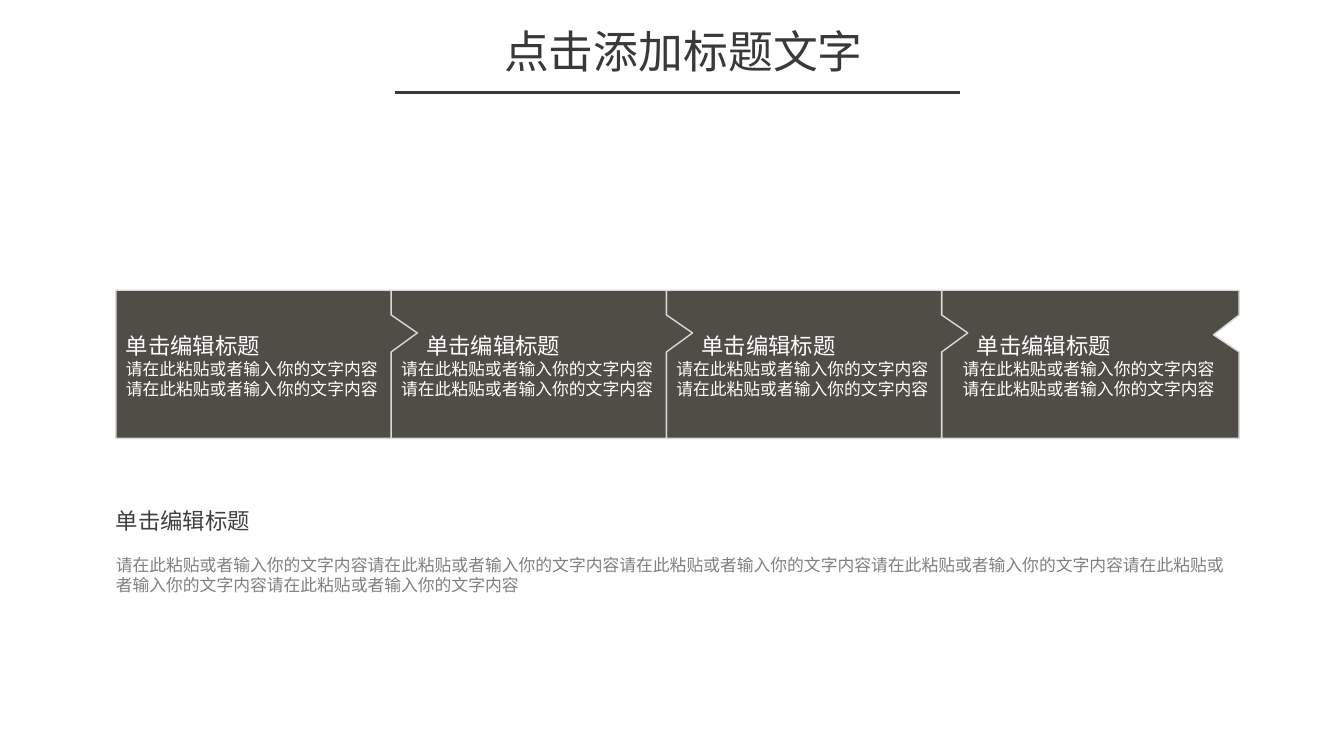
"""Build a slide with a chain of four cards, a title and a closing note."""
from dataclasses import dataclass

from pptx import Presentation
from pptx.dml.color import RGBColor
from pptx.enum.shapes import MSO_CONNECTOR, MSO_SHAPE
from pptx.enum.text import MSO_ANCHOR, PP_ALIGN
from pptx.oxml.ns import qn
from pptx.slide import Slide
from pptx.text.text import TextFrame
from pptx.util import Inches, Pt

CALLOUT = MSO_SHAPE.RECTANGULAR_CALLOUT
STRAIGHT = MSO_CONNECTOR.STRAIGHT
MIDDLE = MSO_ANCHOR.MIDDLE
TOP = MSO_ANCHOR.TOP
LEFT = PP_ALIGN.LEFT
CENTER = PP_ALIGN.CENTER


@dataclass(frozen=True)
class Theme:
    font: str = "Noto Sans CJK SC"
    title: int = 32
    head: int = 16
    body: int = 12
    pitch: float = 1.19
    paper: str = "FFFFFF"
    ink: str = "3B3838"
    dark: str = "404040"
    gray: str = "808080"
    card: str = "504D47"
    edge: str = "D9D9D9"


@dataclass(frozen=True)
class Line:
    text: str
    size: int
    color: str
    indent: float = 0
    align: PP_ALIGN = LEFT
    tight: bool = True


@dataclass(frozen=True)
class Card:
    width: float
    tip: tuple[float, float]
    head: float
    body: float


THEME = Theme()
HEAD = "单击编辑标题"
BODY = "请在此粘贴或者输入你的文字内容"
START, ROW, STEP, HEIGHT = 1.15, 2.88, 2.73, 1.47
POINT = (0.595, -0.212)
CARDS = [
    Card(STEP, POINT, 0, 0),
    Card(STEP, POINT, 0.25, 0),
    Card(STEP, POINT, 0.25, 0),
    Card(2.95, (0.414, -0.199), 0.25, 0.11),
]


def tint(code: str) -> RGBColor:
    """Turn a hex code into a colour."""
    return RGBColor.from_string(code)


def write(frame: TextFrame, lines: list[Line], pad: tuple[float, float, float],
          anchor: MSO_ANCHOR = TOP) -> None:
    """Fill a frame with lines, padded at the sides, top and bottom."""
    side, top, base = pad
    frame.word_wrap = True
    frame.vertical_anchor = anchor
    frame.margin_left = frame.margin_right = Inches(side)
    frame.margin_top, frame.margin_bottom = Inches(top), Inches(base)
    for index, line in enumerate(lines):
        para = frame.add_paragraph() if index else frame.paragraphs[0]
        para.alignment = line.align
        if line.tight:
            para.line_spacing = Pt(line.size * THEME.pitch)
        if line.indent:
            para._p.get_or_add_pPr().set("marL", str(Inches(line.indent)))
        run = para.add_run()
        run.text = line.text
        run.font.name = THEME.font
        run.font.size = Pt(line.size)
        run.font.color.rgb = tint(line.color)
        east = run._r.get_or_add_rPr().makeelement(qn("a:ea"), {"typeface": THEME.font})
        run.font._rPr.append(east)


def draw_card(slide: Slide, left: float, card: Card) -> None:
    """Draw one card whose tip points to the next."""
    shape = slide.shapes.add_shape(
        CALLOUT, Inches(left), Inches(ROW), Inches(card.width), Inches(HEIGHT))
    shape.adjustments[0], shape.adjustments[1] = card.tip
    shape.shadow.inherit = False
    shape.fill.solid()
    shape.fill.fore_color.rgb = tint(THEME.card)
    shape.line.color.rgb = tint(THEME.edge)
    shape.line.width = Pt(1)
    body = Line(BODY, THEME.body, THEME.paper, card.body)
    head = Line(HEAD, THEME.head, THEME.paper, card.head)
    write(shape.text_frame, [head, body, body], (0.1, 0.08, 0.05), MIDDLE)


def add_text(slide: Slide, box: tuple[float, float, float, float], line: Line,
             pad: tuple[float, float, float]) -> None:
    """Add a text box with a single line style."""
    shape = slide.shapes.add_textbox(*map(Inches, box))
    write(shape.text_frame, [line], pad)


def add_rule(slide: Slide) -> None:
    """Draw the rule below the title."""
    rule = slide.shapes.add_connector(
        STRAIGHT, Inches(3.92), Inches(0.92), Inches(9.52), Inches(0.92))
    rule.line.color.rgb = tint(THEME.ink)
    rule.line.width = Pt(2)
    props = rule._element.spPr
    props.append(props.makeelement(qn("a:effectLst"), {}))


def main() -> None:
    """Build and save the slide."""
    deck = Presentation()
    deck.slide_width, deck.slide_height = Inches(13.33), Inches(7.5)
    slide = deck.slides.add_slide(deck.slide_layouts[6])
    slide.background.fill.solid()
    slide.background.fill.fore_color.rgb = tint(THEME.paper)
    for index, card in reversed(list(enumerate(CARDS))):
        draw_card(slide, START + index * STEP, card)
    note = (0.1, 0.07, 0.05)
    add_text(slide, (1.05, 5.43, 11.35, 0.91),
             Line(BODY * 6, THEME.body, THEME.gray), note)
    add_text(slide, (1.05, 4.96, 8.34, 0.37),
             Line(HEAD, THEME.head, THEME.dark), note)
    add_text(slide, (3.75, 0.24, 6.06, 0.64),
             Line("点击添加标题文字", THEME.title, THEME.ink, align=CENTER, tight=False),
             (0, 0, 0))
    add_rule(slide)
    deck.save("out.pptx")


if __name__ == "__main__":
    main()
